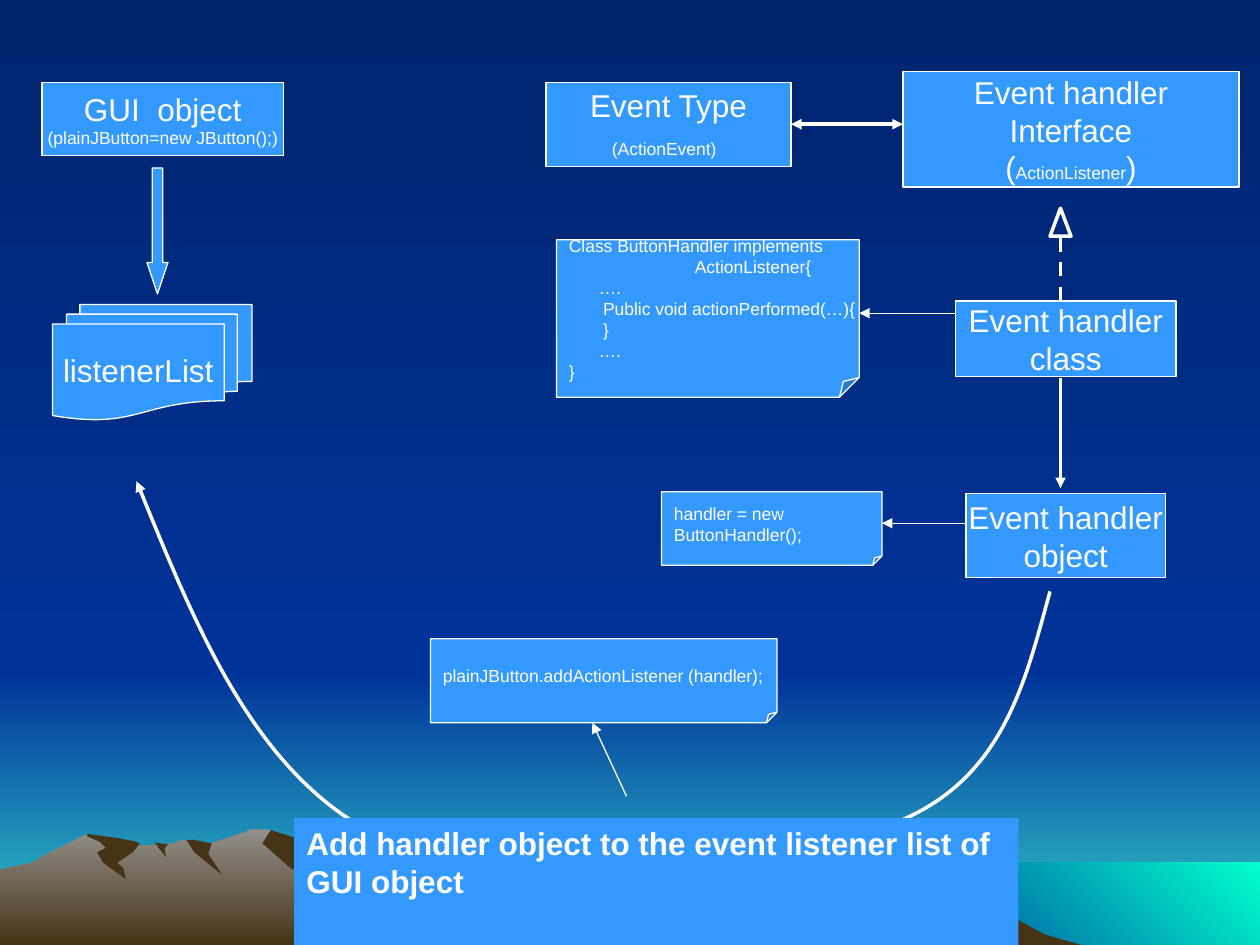
"""Builds the event handling diagram slide over a mountain landscape."""
from dataclasses import dataclass
from typing import NamedTuple, Optional

from lxml import etree
from pptx import Presentation
from pptx import util as u
from pptx.dml.color import RGBColor
from pptx.enum import dml, shapes, text
from pptx.oxml.ns import qn

Point = tuple[float, float]
Kind = shapes.MSO_SHAPE

@dataclass(frozen=True)
class Theme:
    font: str = "Arial"
    large: float = 18
    small: float = 10
    thin: float = 0.75
    thick: float = 2
    white: str = "FFFFFF"
    box: str = "3399FF"
    night: str = "00246D"
    blue: str = "003399"
    horizon: str = "33CCCC"
    sea: str = "00FFCC"
    stone: str = "938F8B"
    earth: str = "463416"

T = Theme()

class Run(NamedTuple):
    text: str
    size: float = T.large
    bold: bool = False

class Line(NamedTuple):
    runs: tuple[Run, ...]
    indent: float = 0

class Box(NamedTuple):
    rect: tuple[float, float, float, float]
    lines: tuple[Line, ...] = ()
    kind: Kind = Kind.RECTANGLE
    adjust: tuple[tuple[str, float], ...] = ()
    align: text.PP_ALIGN = text.PP_ALIGN.CENTER
    anchor: text.MSO_ANCHOR = text.MSO_ANCHOR.MIDDLE
    wrap: bool = False
    fill: Optional[str] = T.box
    line: float = T.thin

class Link(NamedTuple):
    start: Point
    end: Point
    width: float = T.thin
    ends: tuple[str, ...] = ("tailEnd",)
    dashed: bool = False

class Area(NamedTuple):
    points: tuple[Point, ...]
    colors: tuple[str, ...] = (T.earth,)
    angle: float = 270

def big(*words: str) -> tuple[Line, ...]:
    return tuple(Line((Run(w),)) for w in words)

def code(*rows: tuple[str, float]) -> tuple[Line, ...]:
    return tuple(Line((Run(w, T.small),), indent) for w, indent in rows)

def note(rect: tuple[float, float, float, float], *rows: tuple[str, float]) -> Box:
    return Box(rect, code(*rows), Kind.FOLDED_CORNER, (("adj", 0.125),), text.PP_ALIGN.LEFT)

def corners(x: float, y: float, w: float, h: float) -> tuple[Point, ...]:
    return (x, y), (x + w, y), (x + w, y + h), (x, y + h)

def paint(fill, colors: tuple[str, ...], angle: float = 270) -> None:
    if len(colors) == 1:
        fill.solid()
        fill.fore_color.rgb = RGBColor.from_string(colors[0])
        return
    fill.gradient()
    fill.gradient_angle = angle
    for stop, color in zip(fill.gradient_stops, colors):
        stop.color.rgb = RGBColor.from_string(color)

def stroke(sp, width: float, ends: tuple[str, ...] = (), dashed: bool = False) -> None:
    if not width:
        sp.line.fill.background()
        return
    paint(sp.line.fill, (T.white,))
    sp.line.width = u.Pt(width)
    if dashed:
        sp.line.dash_style = dml.MSO_LINE.DASH
    for end in ends:
        etree.SubElement(sp._element.spPr.find(qn("a:ln")), qn(f"a:{end}"), type="triangle")

def outline(s, points: tuple[Point, ...], close: bool):
    first, *rest = [(u.Pt(x), u.Pt(y)) for x, y in points]
    builder = s.shapes.build_freeform(*first)
    builder.add_line_segments(rest, close=close)
    sp = builder.convert_to_shape()
    sp.shadow.inherit = False
    return sp

def add_area(s, area: Area) -> None:
    sp = outline(s, area.points, True)
    paint(sp.fill, area.colors, area.angle)
    stroke(sp, 0)

def add_curve(s, points: tuple[Point, ...]) -> None:
    sp = outline(s, points, False)
    sp.fill.background()
    stroke(sp, T.thick, ("tailEnd",))
    route = next(sp._element.iter(qn("a:path")))
    segments = route.findall(qn("a:lnTo"))
    for i in range(0, len(segments), 3):
        bezier = etree.SubElement(route, qn("a:cubicBezTo"))
        for segment in segments[i:i + 3]:
            bezier.extend(list(segment))
            route.remove(segment)

def add_box(s, box: Box) -> None:
    sp = s.shapes.add_shape(box.kind, *map(u.Pt, box.rect))
    sp.shadow.inherit = False
    if box.adjust:
        guides = next(sp._element.iter(qn("a:avLst")))
        guides[:] = []
        for name, value in box.adjust:
            etree.SubElement(guides, qn("a:gd"), name=name, fmla=f"val {round(value * 100000)}")
    if box.fill:
        paint(sp.fill, (box.fill,))
    else:
        sp.fill.background()
    stroke(sp, box.line)
    tf = sp.text_frame
    tf.word_wrap, tf.vertical_anchor = box.wrap, box.anchor
    for i, line in enumerate(box.lines):
        p = tf.add_paragraph() if i else tf.paragraphs[0]
        p.alignment = box.align
        if line.indent:
            p._p.get_or_add_pPr().set("marL", str(u.Pt(line.indent)))
        for run in line.runs:
            r = p.add_run()
            r.text = run.text
            r.font.name, r.font.size, r.font.bold = T.font, u.Pt(run.size), run.bold
            r.font.color.rgb = RGBColor.from_string(T.white)

def add_link(s, link: Link) -> None:
    sp = s.shapes.add_connector(shapes.MSO_CONNECTOR.STRAIGHT, *map(u.Pt, link.start + link.end))
    stroke(sp, link.width, link.ends, link.dashed)
    etree.SubElement(sp._element.spPr, qn("a:effectLst"))

LANDSCAPE = (
    Area(corners(0, 384, 720, 156), (T.blue, T.horizon)),
    Area(corners(0, 0, 720, 384), (T.night, T.blue)),
    Area(corners(492, 493, 228, 47), (T.blue, T.sea), 45),
    Area(((573, 521), (555, 521), (528, 506), (509, 483), (493, 475), (498, 490), (499, 528), (518, 516),
          (570, 540), (618, 540), (597, 534))),
    Area(((0, 497), (19, 493), (25, 489), (49, 477), (68, 483), (95, 483), (105, 480), (115, 483), (121, 482),
          (140, 475.5), (143, 474), (153, 474), (161, 477), (170, 490), (233, 479), (255, 479), (311, 513),
          (480, 538.5), (497, 540), (0, 540)), (T.stone, T.earth)),
    Area(((153, 477), (150, 482), (167, 497), (174, 495), (192, 510), (188, 496), (195, 491), (176, 481), (155, 474.5))),
    Area(((111, 480), (121, 482), (119, 488), (127, 500), (111, 487), (106.5, 480))),
    Area(((96, 482.5), (94, 485), (95, 490), (91, 485), (88.5, 481.5))),
    Area(((78, 481), (80, 482), (76, 487), (67, 493), (70.5, 496), (72, 502.5), (59, 493), (55.5, 487),
          (60.5, 484.5), (57, 481), (50, 478), (50, 476.5), (68, 479))),
)
REGISTRATION = ((600, 338), (585, 393), (572, 448), (508, 471.5), (444, 495), (291, 512), (220, 479.5),
                (148, 446), (113, 361), (78, 275))
BOXES = (
    Box((24, 47, 138, 42), big("GUI  object") + code(("(plainJButton=new JButton();)", 0))),
    Box((84, 96, 12, 72), kind=Kind.DOWN_ARROW, adjust=(("adj1", 0.5), ("adj2", 1.5))),
    Box((312, 47, 140, 48), big("Event Type") + (Line((Run("(ActionEvent)", T.small), Run(" "))),)),
    Box((516, 41, 192, 66), big("Event handler", "Interface")
        + (Line((Run("("), Run("ActionListener", T.small), Run(")"))),)),
    Box((546, 172, 126, 43), big("Event handler", "class")),
    Box((600, 119, 12, 16), kind=Kind.ISOSCELES_TRIANGLE, fill=None, line=T.thick),
    Box((552, 282, 114, 48), big("Event handler", "object")),
    note((318, 137, 173, 90), ("Class ButtonHandler implements ", 0), ("ActionListener{", 72), ("….", 17),
         ("Public void actionPerformed(…){", 19.5), ("}", 19.5), ("….", 17), ("}", 0)),
    note((378, 281, 126, 42), ("handler = new ", 0), ("ButtonHandler();", 0)),
    note((246, 365, 198, 48), ("plainJButton.addActionListener (handler);", 0)),
    Box((168, 467.5, 414, 72.5), (Line((Run("Add handler object to the event listener list of GUI object", bold=True),)),),
        align=text.PP_ALIGN.LEFT, anchor=text.MSO_ANCHOR.TOP, wrap=True, line=0),
    Box((30, 174, 114, 66), big("listenerList"), Kind.FLOWCHART_MULTIDOCUMENT),
)
LINKS = (Link((452, 71), (516, 71), T.thick, ("headEnd", "tailEnd")), Link((606, 172), (606, 135), T.thick, (), True),
         Link((606, 216), (606, 279), T.thick), Link((546, 179), (491, 179)), Link((552, 299), (504, 299)),
         Link((358, 455), (338.5, 413)))

prs = Presentation()
prs.slide_width, prs.slide_height = u.Pt(720), u.Pt(540)
s = prs.slides.add_slide(prs.slide_layouts[6])
add_curve(s, REGISTRATION)
for draw, items in ((add_area, LANDSCAPE), (add_box, BOXES), (add_link, LINKS)):
    for item in items:
        draw(s, item)
    if draw is add_area:
        s.shapes._spTree.append(s.shapes[0]._element)
prs.save("out.pptx")
